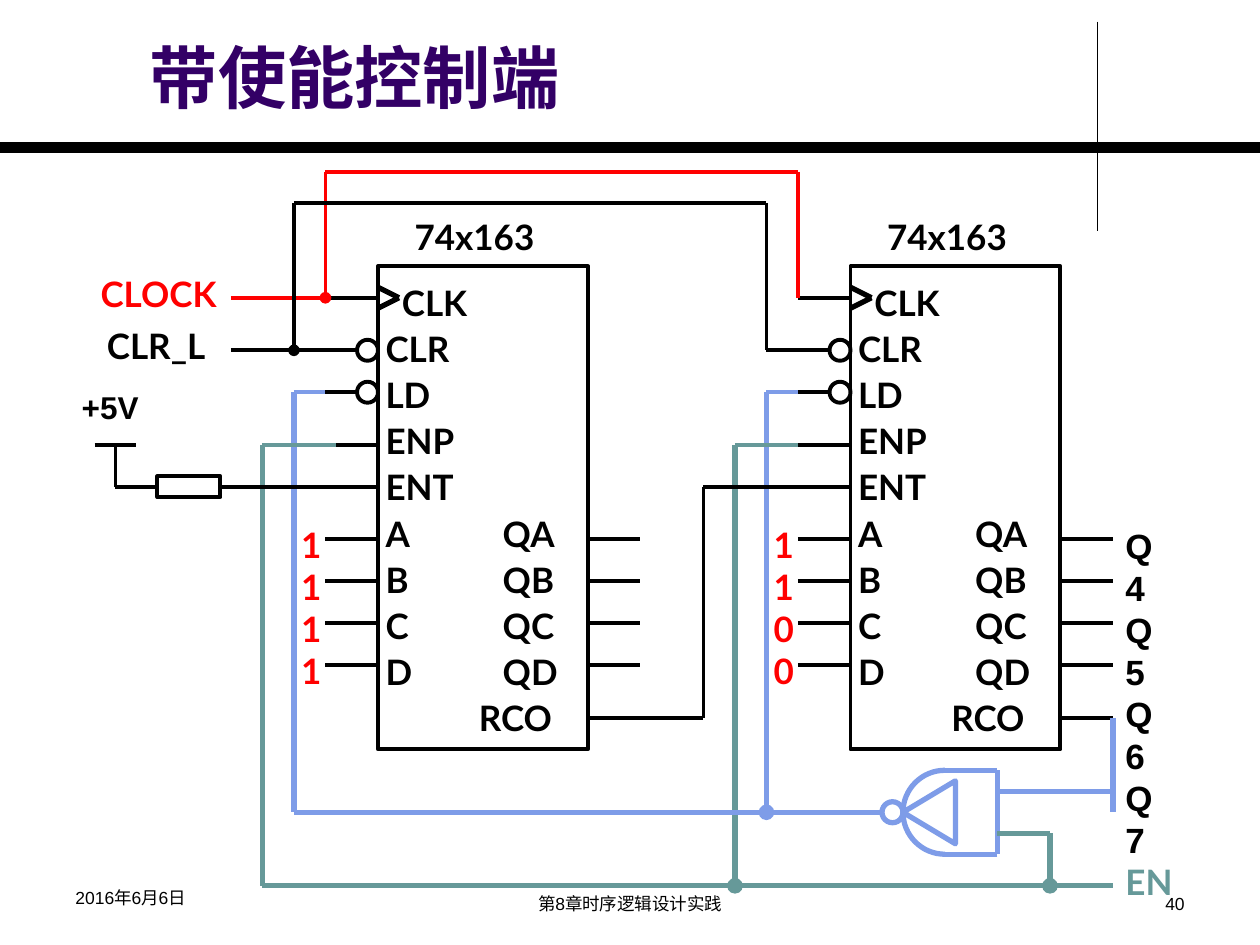
import math

import pptx
import pptx.dml.color
import pptx.enum.shapes
import pptx.enum.text
import pptx.oxml
import pptx.oxml.ns
import pptx.util

KINDS = pptx.enum.shapes.MSO_SHAPE
ALIGN = pptx.enum.text.PP_ALIGN
ANCHOR = pptx.enum.text.MSO_ANCHOR
BLACK, RED, BLUE, GREEN, PURPLE = "000000", "FF0000", "7E9CE8", "669999", "330066"
STEP = 45
PINS = ["CLK", "CLR", "LD", "ENP", "ENT",
        "A\tQA", "B\tQB", "C\tQC", "D\tQD", "RCO"]


def color(code):
    """Turn a hex string into a colour."""
    return pptx.dml.color.RGBColor.from_string(code)


def node(parent, tag, **attrs):
    """Append a drawing element to its parent."""
    item = pptx.oxml.parse_xml(f"<a:{tag} {pptx.oxml.ns.nsdecls('a')}/>")
    for key, value in attrs.items():
        item.set(key, str(value))
    parent.append(item)
    return item


def write(frame, lines, size=20, font="Lato", ink=BLACK, bold=True, align=ALIGN.LEFT,
          anchor=ANCHOR.TOP, wrap=False, space=None, indents=None, tab=None):
    """Fill a text frame with one paragraph for each line."""
    frame.word_wrap = wrap
    frame.vertical_anchor = anchor
    for i, line in enumerate(lines):
        para = frame.paragraphs[0] if i == 0 else frame.add_paragraph()
        props = para._p.get_or_add_pPr()
        if indents and line in indents:
            props.set("marL", str(pptx.util.Inches(indents[line])))
            props.set("indent", "0")
        if "\t" in line:
            node(node(props, "tabLst"), "tab", pos=pptx.util.Inches(tab), algn="l")
        para.alignment = align
        if space:
            para.line_spacing = space
        run = para.add_run()
        run.text = line
        run.font.size = pptx.util.Pt(size)
        run.font.name = font
        run.font.bold = bold
        run.font.color.rgb = color(ink)


class Sheet:
    """Draw on one slide with a grid of twelve cells to the inch."""

    def __init__(self, slide, cell=1 / 12, top=0.03):
        """Keep the slide and the grid."""
        self.slide, self.cell, self.top = slide, cell, top

    def size(self, cells):
        """Give the length of a number of cells."""
        return pptx.util.Inches(cells * self.cell)

    def spot(self, col, row):
        """Give the place of a grid point."""
        return self.size(col), self.size(row) + pptx.util.Inches(self.top)

    def box(self, col, row, wide, high):
        """Give the place and size of a block of cells."""
        return *self.spot(col, row), self.size(wide), self.size(high)

    def label(self, area, *lines, **look):
        """Place a text box."""
        box = self.slide.shapes.add_textbox(*self.box(*area))
        write(box.text_frame, lines, **look)

    def trim(self, shape, ink, width):
        """Leave a shape with its outline only."""
        shape.shadow.inherit = False
        shape.fill.background()
        shape.line.color.rgb = color(ink)
        shape.line.width = pptx.util.Pt(width)
        return shape

    def shape(self, kind, area, ink=BLACK, width=2.25):
        """Place an outlined preset shape."""
        return self.trim(self.slide.shapes.add_shape(kind, *self.box(*area)), ink, width)

    def wire(self, *points, ink=BLACK, width=2.25, dot=False):
        """Join points with straight lines and return the last."""
        for start, end in zip(points, points[1:]):
            line = self.slide.shapes.add_connector(
                pptx.enum.shapes.MSO_CONNECTOR.STRAIGHT, *self.spot(*start), *self.spot(*end))
            line.line.color.rgb = color(ink)
            line.line.width = pptx.util.Pt(width)
            node(line.element.spPr, "effectLst")
        if dot:
            node(line.element.spPr.find(pptx.oxml.ns.qn("a:ln")), "tailEnd", type="oval")
        return line

    def chip(self, left, bits):
        """Draw a counter with its pins and preset bits."""
        body = self.shape(KINDS.RECTANGLE, (left, 25, 20, 46))
        frame = body.text_frame
        frame.margin_left = pptx.util.Inches(0.06)
        write(frame, PINS, anchor=ANCHOR.MIDDLE, wrap=True, space=1.1,
              indents={"CLK": 0.13, "RCO": 0.74}, tab=0.93)
        for row in (33, 37):
            self.shape(KINDS.OVAL, (left - 2, row - 1, 2, 2))
            self.wire((left - 5, row), (left - 2, row))
        self.wire((left, 27), (left + 2, 28), (left, 29), width=3)
        for row in (28, 42, 46, 51, 55, 59, 63):
            self.wire((left - 5, row), (left, row))
        for row in (51, 55, 59, 63, 68):
            self.wire((left + 20, row), (left + 25, row))
        self.label((left + 2.3, 19.6, 15.1, 5.1), "74x163")
        self.label((left - 8.5, 48.9, 4.6, 17.2), *bits, ink=RED)

    def arc(self, col, row, radius, ink, width, parts=32):
        """Draw the left half of a circle."""
        turns = [math.pi * (0.5 + i / parts) for i in range(parts + 1)]
        points = [self.spot(col + radius * math.cos(t), row + radius * math.sin(t))
                  for t in turns]
        form = self.slide.shapes.build_freeform(*points[0])
        form.add_line_segments(points[1:], close=False)
        self.trim(form.convert_to_shape(), ink, width)

    def supply(self):
        """Draw the supply and its resistor."""
        part = self.shape(KINDS.RECTANGLE, (15, 45, 6, 2))
        self.wire((21, 46), (31, 46)).begin_connect(part, 3)
        self.wire((11, 46), (15, 46)).end_connect(part, 1)
        self.wire((11, 46), (11, 42))
        self.wire((9, 42), (13, 42))
        self.label((6.6, 36, 8.4, 6), "+5V", size=18, font="Arial")

    def gate(self):
        """Draw the enable gate."""
        pen = {"ink": BLUE, "width": 3}
        self.shape(KINDS.OVAL, (84, 76, 2, 2), **pen)
        self.shape(KINDS.ISOSCELES_TRIANGLE, (85.5, 74.5, 6, 5), **pen).rotation = 270
        self.arc(90, 77, 4, **pen)
        self.wire((90, 73), (95, 73), (95, 81), (90, 81), **pen)
        self.wire((95, 75), (106, 75), **pen)
        self.wire((106, 68), (106, 77), **pen)
        self.wire((95, 79), (100, 79), (100, 84), ink=GREEN, width=3, dot=True)

    def load(self, col, row, last, end, ink, dot):
        """Draw a control pin's wire down to its bus."""
        self.wire((col, row), (end, row), ink=ink)
        self.wire((col, row), (col, last), ink=ink, width=3, dot=dot)


def main():
    """Build and save the slide."""
    deck = pptx.Presentation()
    deck.slide_width, deck.slide_height = pptx.util.Inches(10), pptx.util.Inches(7.5)
    sheet = Sheet(deck.slides.add_slide(deck.slide_layouts[6]))
    sheet.wire((104.5, 1.7), (104.5, 21.6), width=0.75)
    sheet.wire((0, 13.7), (120, 13.7), width=6)

    sheet.chip(36, "1111")
    sheet.chip(36 + STEP, "1100")

    for shift, end in ((0, 32), (STEP, 76)):
        sheet.load(28 + shift, 37, 77, 31 + shift, BLUE, shift > 0)
        sheet.load(25 + shift, 42, 84, end, GREEN, shift > 0)
    sheet.wire((28, 77), (84, 77), ink=BLUE, width=3)
    sheet.wire((25, 84), (106, 84), ink=GREEN, width=3)

    sheet.wire((31, 16), (31, 28), ink=RED, dot=True)
    sheet.wire((22, 28), (31, 28), ink=RED)
    sheet.wire((31, 16), (76, 16), (76, 28), ink=RED)
    sheet.wire((28, 19), (28, 33), dot=True)
    sheet.wire((28, 19), (73, 19), (73, 33), (76, 33))
    sheet.wire((22, 33), (31, 33))
    sheet.wire((60, 68), (67, 68), (67, 46), (76, 46))
    sheet.label((8.4, 25, 13.7, 5.1), "CLOCK", ink=RED)
    sheet.label((9, 30, 13.1, 5.1), "CLR_L")
    sheet.supply()
    sheet.gate()
    sheet.label((106, 49, 6.1, 17.2), "Q4", "Q5", "Q6", "Q7", font="Arial",
                wrap=True, space=pptx.util.Pt(24))
    sheet.label((106, 81, 7.1, 5.1), "EN", ink=GREEN)

    small = {"size": 10, "font": "Arial", "bold": False, "wrap": True}
    sheet.label((6, 83.5, 28, 4.1), "2016年6月6日", **small)
    sheet.label((41, 84.1, 38, 3.5), "第8章时序逻辑设计实践", align=ALIGN.CENTER, **small)
    sheet.label((86, 84.1, 28, 3.5), "40", align=ALIGN.RIGHT, **small)
    sheet.label((13.1, 2, 90.6, 9.7), "带使能控制端", size=39, font="Arial", ink=PURPLE,
                anchor=ANCHOR.MIDDLE, wrap=True)
    deck.save("out.pptx")


if __name__ == "__main__":
    main()
